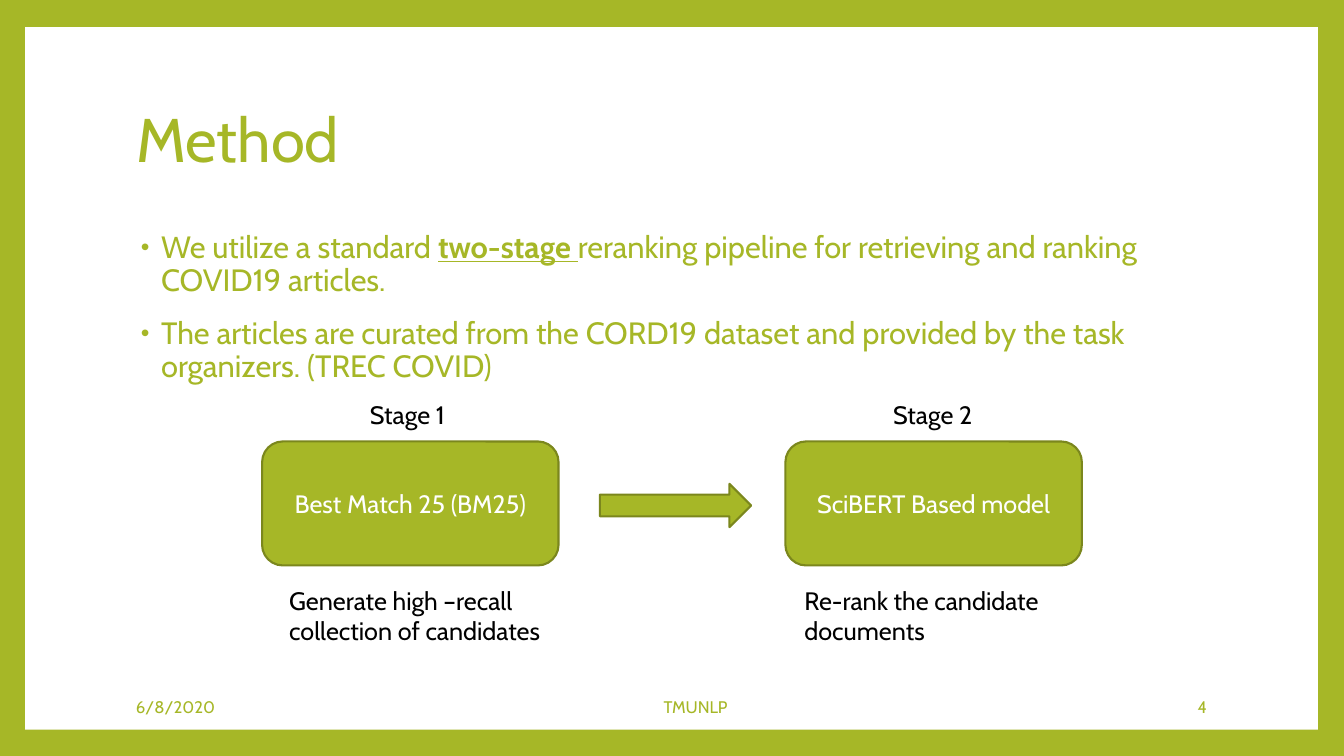
from lxml.etree import SubElement
from pptx import Presentation
from pptx.dml.color import RGBColor
from pptx.enum.shapes import MSO_SHAPE as Shape
from pptx.enum.text import MSO_ANCHOR as Anchor, PP_ALIGN as Align
from pptx.oxml.ns import qn
from pptx.util import Inches, Pt

GREEN, EDGE, WHITE, BLACK = "A6B727", "7B871D", "FFFFFF", "000000"
FONT = "Cabin"


def color(code):
    return RGBColor.from_string(code)


class Deck:
    """Holds the style and the current slide."""

    def __init__(self):
        self.prs = Presentation()
        self.prs.slide_width = Inches(13.33)
        self.prs.slide_height = Inches(7.5)
        self.slide = self.prs.slides.add_slide(self.prs.slide_layouts[5])
        self.shapes = self.slide.shapes
        back = self.slide.background.fill
        back.solid()
        back.fore_color.rgb = color(GREEN)

    def style(self, para, size, tint, align=Align.LEFT):
        para.alignment = align
        font = para.font
        font.name, font.size = FONT, Pt(size)
        font.color.rgb = color(tint)

    def title(self, text, *box):
        head = self.shapes.title
        head.left, head.top, head.width, head.height = map(Inches, box)
        frame = head.text_frame
        frame.text = text
        frame.vertical_anchor = Anchor.MIDDLE
        para = frame.paragraphs[0]
        para.line_spacing = 0.9
        self.style(para, 44, GREEN)

    def shape(self, kind, *box, fill=GREEN, line=EDGE, text=None):
        item = self.shapes.add_shape(kind, *map(Inches, box))
        item.shadow.inherit = False
        item.fill.solid()
        item.fill.fore_color.rgb = color(fill)
        if line:
            item.line.color.rgb = color(line)
            item.line.width = Pt(1.5)
        else:
            item.line.fill.background()
        if text:
            frame = item.text_frame
            frame.text = text
            frame.vertical_anchor = Anchor.MIDDLE
            self.style(frame.paragraphs[0], 18, WHITE, Align.CENTER)
        return item

    def panel(self, *box):
        item = self.shape(Shape.RECTANGLE, *box, fill=WHITE, line=None)
        self.shapes.title.element.addprevious(item.element)

    def frame(self, *box):
        frame = self.shapes.add_textbox(*map(Inches, box)).text_frame
        frame.word_wrap = True
        return frame

    def text(self, text, *box, size=18, tint=BLACK, align=Align.LEFT,
             anchor=Anchor.TOP):
        frame = self.frame(*box)
        frame.text = text
        frame.vertical_anchor = anchor
        self.style(frame.paragraphs[0], size, tint, align)

    def bullets(self, items, *box):
        """Each item is a list of (text, bold, underline) runs."""
        frame = self.frame(*box)
        for i, runs in enumerate(items):
            para = frame.add_paragraph() if i else frame.paragraphs[0]
            para.line_spacing, para.space_before = 0.9, Pt(14)
            self.style(para, 22, GREEN)
            for text, bold, under in runs:
                run = para.add_run()
                run.text = text
                run.font.bold, run.font.underline = bold, under
            self.mark(para)

    def mark(self, para):
        props = para._p.get_or_add_pPr()
        props.set("marL", str(Inches(0.25)))
        props.set("indent", str(Inches(-0.2)))
        tint = SubElement(props, qn("a:buClr"))
        SubElement(tint, qn("a:srgbClr"), val=GREEN)
        SubElement(props, qn("a:buSzPct"), val="80000")
        SubElement(props, qn("a:buFont"), typeface="Arial")
        SubElement(props, qn("a:buChar"), char="•")

    def stage(self, left, name, model, note, inset):
        self.shape(Shape.ROUNDED_RECTANGLE, left, 4.38, 2.94, 1.23, text=model)
        self.text(name, left + 0.97, 3.91, 1, 0.4)
        self.text(note, left + inset, 5.76, 2.77, 0.71)


def main():
    deck = Deck()

    # Frame and title
    deck.panel(0.25, 0.27, 12.82, 6.97)
    deck.title("Method", 1.25, 0.67, 10.8, 1.48)

    # Body
    deck.bullets([
        [("We utilize a standard ", False, False),
         ("two-stage", True, True),
         (" ", False, True),
         ("reranking pipeline for retrieving and ranking COVID19 articles.",
          False, False)],
        [("The articles are curated from the CORD19 dataset and provided by "
          "the task organizers. (TREC COVID)", False, False)],
    ], 1.25, 2.25, 10.8, 4.42)

    # Footer
    for text, left, width, align in (
            ("6/8/2020", 1.25, 2.55, Align.LEFT),
            ("TMUNLP", 4.32, 5.16, Align.CENTER),
            ("4", 10.2, 1.87, Align.RIGHT)):
        deck.text(text, left, 6.81, width, 0.4, size=12, tint=GREEN,
                  align=align, anchor=Anchor.MIDDLE)

    # Two-stage pipeline
    deck.stage(2.6, "Stage 1", "Best Match 25 (BM25)",
               "Generate high –recall collection of candidates", 0.17)
    deck.stage(7.79, "Stage 2", "SciBERT Based model",
               "Re-rank the candidate documents", 0.09)
    deck.shape(Shape.RIGHT_ARROW, 5.95, 4.8, 1.5, 0.43)

    deck.prs.save("out.pptx")


if __name__ == "__main__":
    main()
